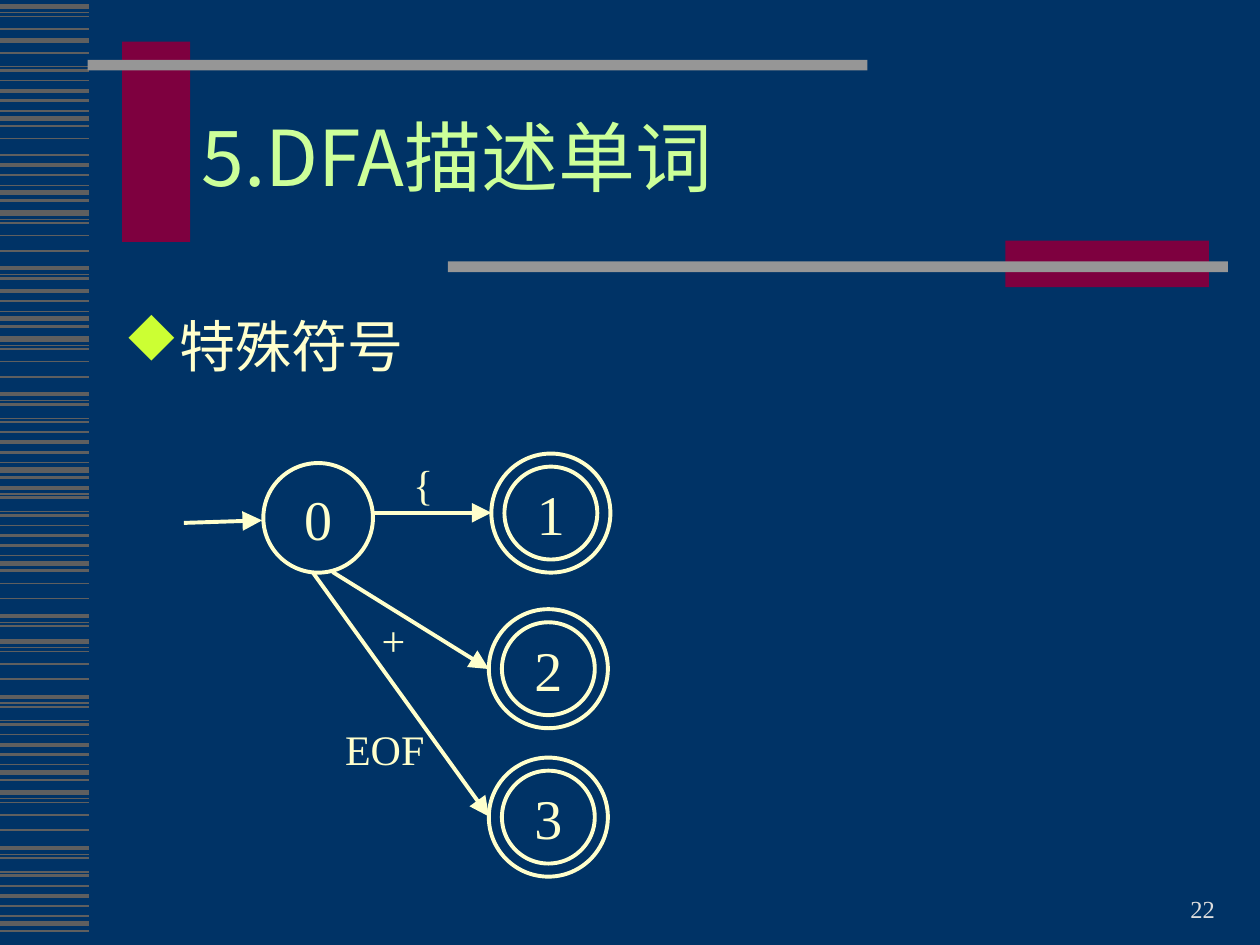
from typing import NamedTuple

from pptx import Presentation
from pptx.dml.color import RGBColor
from pptx.enum.shapes import MSO_CONNECTOR, MSO_SHAPE
from pptx.enum.text import MSO_ANCHOR, PP_ALIGN
from pptx.oxml.ns import qn
from pptx.util import Inches, Pt
from lxml.etree import SubElement

COLS, ROWS = 100, 75
WIDE, HIGH = Inches(10), Inches(7.5)
HUES = {
    "back": "003366", "stripe": "5F5F5F", "wine": "7E003F", "bar": "969696",
    "title": "CCFF99", "ink": "FFFFCC", "mark": "CCFF33", "page": "DDDDDD",
}
SERIF, SANS, SIGNS = "Times New Roman", "Noto Sans CJK SC", "Wingdings"


class Box(NamedTuple):
    col: float
    row: float
    cols: float
    rows: float


class Block(NamedTuple):
    box: Box
    hue: str


class Bunch(NamedTuple):
    lines: tuple
    row: float
    first: int = 0
    last: int = 10


class Label(NamedTuple):
    text: str
    box: Box
    size: float = 24
    hue: str = "ink"
    font: str = SERIF
    align: PP_ALIGN = PP_ALIGN.LEFT
    anchor: MSO_ANCHOR = MSO_ANCHOR.TOP
    space: float = 1.0
    bullet: str = ""


class State(NamedTuple):
    name: str
    box: Box
    final: bool = True


class Edge(NamedTuple):
    col: float
    row: float
    to_col: float
    to_row: float


RISE = ((-3, 1), (-2.2, 2.25), (-1.4, 1.5), (-0.6, 0.75), (0, 3), (0.6, 1.5))
FALL = ((0, 3), (0.5, 0.75), (0.8, 1), (1.8, 1), (3, 1), (4.4, 2.25),
        (4.9, 0.75), (5.2, 1.5), (6.3, 0.75), (6.6, 1.5))
BUNCHES = [
    *[Bunch(RISE, row) for row in (73.3, 61.3, 44.7, 37.3, 15.3, 9.4)],
    Bunch(RISE, 25.3, 1),
    *[Bunch(FALL, row) for row in (62.9, 50.9, 26.9)],
    Bunch(FALL, 44.5, 3, 8), Bunch(FALL, 34.3, 5), Bunch(FALL, 16.9, 0, 8),
    Bunch(FALL, 9.2, 3, 4), Bunch(FALL, 3.2, 0, 1), Bunch(FALL, -1, 7),
    Bunch(FALL, 0.5, 0, 4),
]
BLOCKS = [
    Block(Box(9.7, 3.3, 5.4, 15.9), "wine"),
    Block(Box(6.95, 4.75, 61.9, 0.85), "bar"),
    Block(Box(79.8, 19.1, 16.15, 3.7), "wine"),
    Block(Box(35.55, 20.75, 61.9, 0.85), "bar"),
]
LABELS = [
    Label("22", Box(73.4, 68.8, 24, 5), 14, "page",
          align=PP_ALIGN.RIGHT, anchor=MSO_ANCHOR.BOTTOM),
    Label("5.DFA描述单词", Box(15, 6.7, 80.7, 12.5), 44, "title", SANS,
          anchor=MSO_ANCHOR.MIDDLE, space=0.85),
    Label("特殊符号", Box(8.85, 24.2, 87, 42.4), 32, bullet="u"),
    Label("{", Box(31.8, 35.9, 7.2, 5)),
    Label("+", Box(29.3, 48.3, 7.2, 5)),
    Label("EOF", Box(26.4, 56.9, 10.8, 5)),
]
RING = 9.45
STATES = [
    State("0", Box(20.9, 36.75, 8.7, 8.7), False),
    State("1", Box(39, 36, RING, RING)),
    State("2", Box(38.8, 48.35, RING, RING)),
    State("3", Box(38.8, 60.13, RING, RING)),
]
EDGES = [
    Edge(14.6, 41.5, 20.8, 41.3), Edge(29.5, 40.7, 39, 40.7),
    Edge(26.4, 45.4, 38.8, 53.1), Edge(24.8, 45.4, 38.8, 64.8),
]


def across(col: float) -> int:
    return round(WIDE * col / COLS)


def down(row: float) -> int:
    return round(HIGH * row / ROWS)


def place(box: Box) -> tuple:
    return across(box.col), down(box.row), across(box.cols), down(box.rows)


def tint(hue: str) -> RGBColor:
    return RGBColor.from_string(HUES[hue])


def style(para, size: float, hue: str, font: str = SERIF) -> None:
    para.font.size = Pt(size)
    para.font.name = font
    para.font.color.rgb = tint(hue)
    for run in para.runs:
        SubElement(run._r.get_or_add_rPr(), qn("a:ea"), typeface=SANS)


def draw_line(slide, edge: Edge, hue: str, width: float, arrow: bool = False) -> None:
    line = slide.shapes.add_connector(
        MSO_CONNECTOR.STRAIGHT, across(edge.col), down(edge.row),
        across(edge.to_col), down(edge.to_row))
    line.line.color.rgb = tint(hue)
    line.line.width = Pt(width)
    if arrow:
        SubElement(line.line._get_or_add_ln(), qn("a:tailEnd"),
                   type="triangle", w="lg", len="lg")
    SubElement(line._element.spPr, qn("a:effectLst"))


def draw_block(slide, block: Block) -> None:
    shape = slide.shapes.add_shape(MSO_SHAPE.RECTANGLE, *place(block.box))
    shape.shadow.inherit = False
    shape.fill.solid()
    shape.fill.fore_color.rgb = tint(block.hue)
    shape.line.fill.background()


def add_bullet(para, sign: str) -> None:
    props = para._p.get_or_add_pPr()
    dent = across(3.8)
    props.set("marL", str(dent))
    props.set("indent", str(-dent))
    paint = SubElement(props, qn("a:buClr"))
    SubElement(paint, qn("a:srgbClr"), val=HUES["mark"])
    SubElement(props, qn("a:buFont"), typeface=SIGNS, pitchFamily="2", charset="2")
    SubElement(props, qn("a:buChar"), char=sign)


def draw_label(slide, label: Label) -> None:
    frame = slide.shapes.add_textbox(*place(label.box)).text_frame
    frame.word_wrap = True
    frame.vertical_anchor = label.anchor
    para = frame.paragraphs[0]
    para.text = label.text
    para.alignment = label.align
    para.line_spacing = label.space
    if label.bullet:
        add_bullet(para, label.bullet)
    style(para, label.size, label.hue, label.font)


def draw_state(slide, state: State) -> None:
    kind = MSO_SHAPE.DONUT if state.final else MSO_SHAPE.OVAL
    shape = slide.shapes.add_shape(kind, *place(state.box))
    if state.final:
        shape.adjustments[0] = 0.11
    shape.shadow.inherit = False
    shape.fill.background()
    shape.line.color.rgb = tint("ink")
    shape.line.width = Pt(2.25)
    frame = shape.text_frame
    frame.word_wrap = False
    frame.vertical_anchor = MSO_ANCHOR.MIDDLE
    para = frame.paragraphs[0]
    para.text = state.name
    para.alignment = PP_ALIGN.CENTER
    style(para, 32, "ink")


def main() -> None:
    deck = Presentation()
    deck.slide_width, deck.slide_height = WIDE, HIGH
    slide = deck.slides.add_slide(deck.slide_layouts[6])
    slide.background.fill.solid()
    slide.background.fill.fore_color.rgb = tint("back")
    for bunch in BUNCHES:
        for step, width in bunch.lines[bunch.first:bunch.last]:
            row = bunch.row + step
            draw_line(slide, Edge(0, row, 7.1, row), "stripe", width)
    for block in BLOCKS:
        draw_block(slide, block)
    for state in STATES:
        draw_state(slide, state)
    for edge in EDGES:
        draw_line(slide, edge, "ink", 2.25, True)
    for label in LABELS:
        draw_label(slide, label)
    deck.save("out.pptx")


if __name__ == "__main__":
    main()
